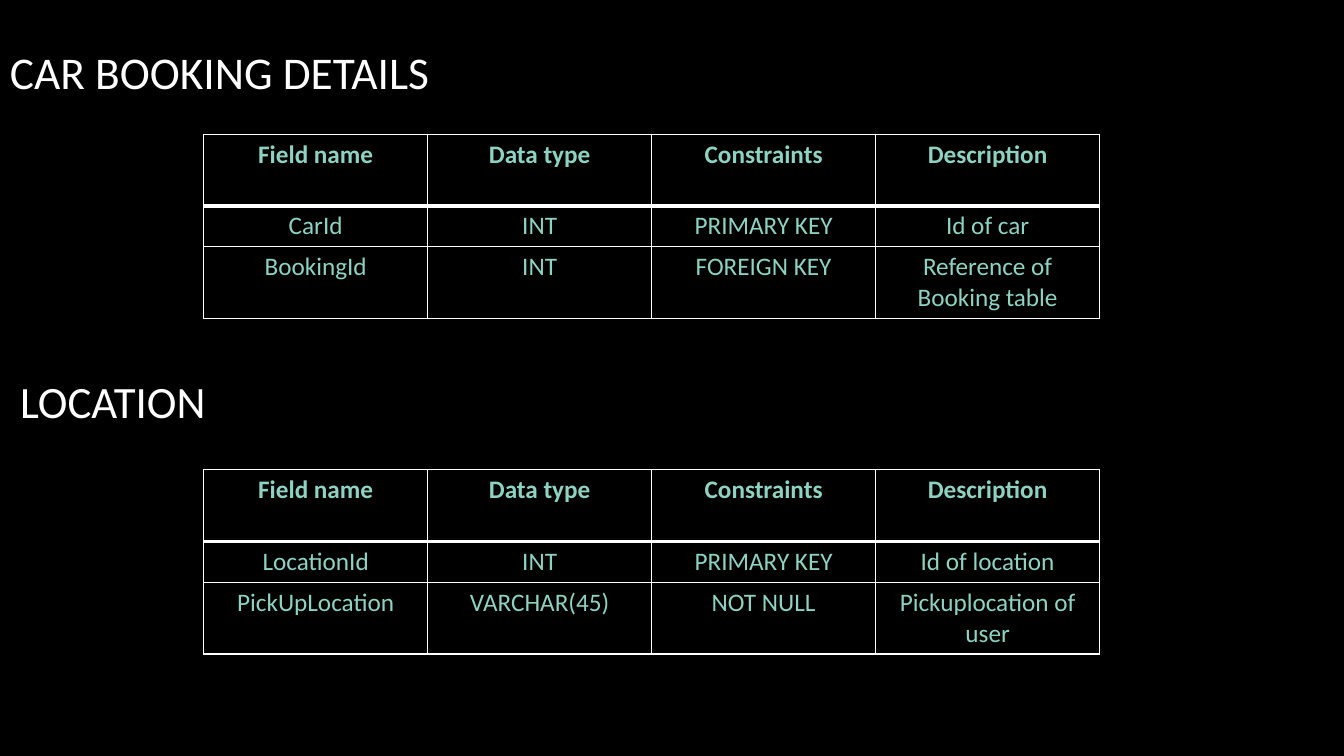
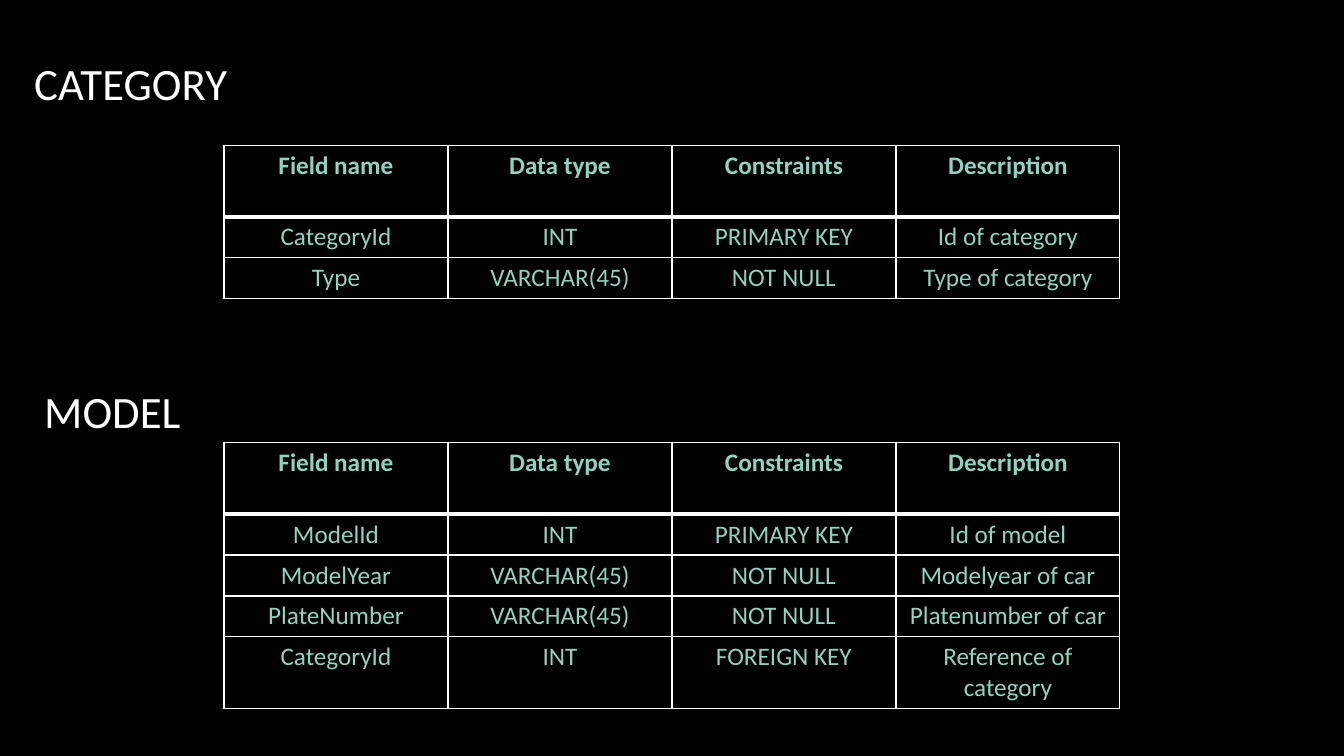
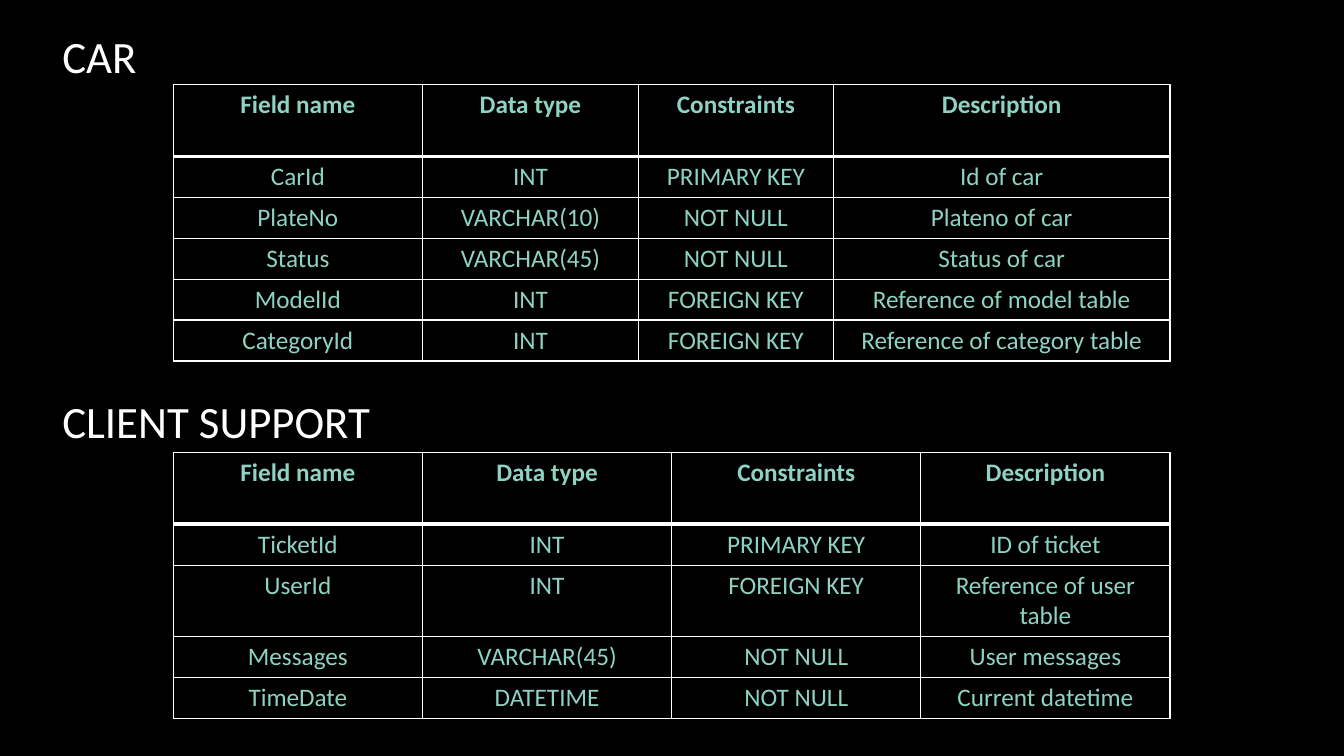
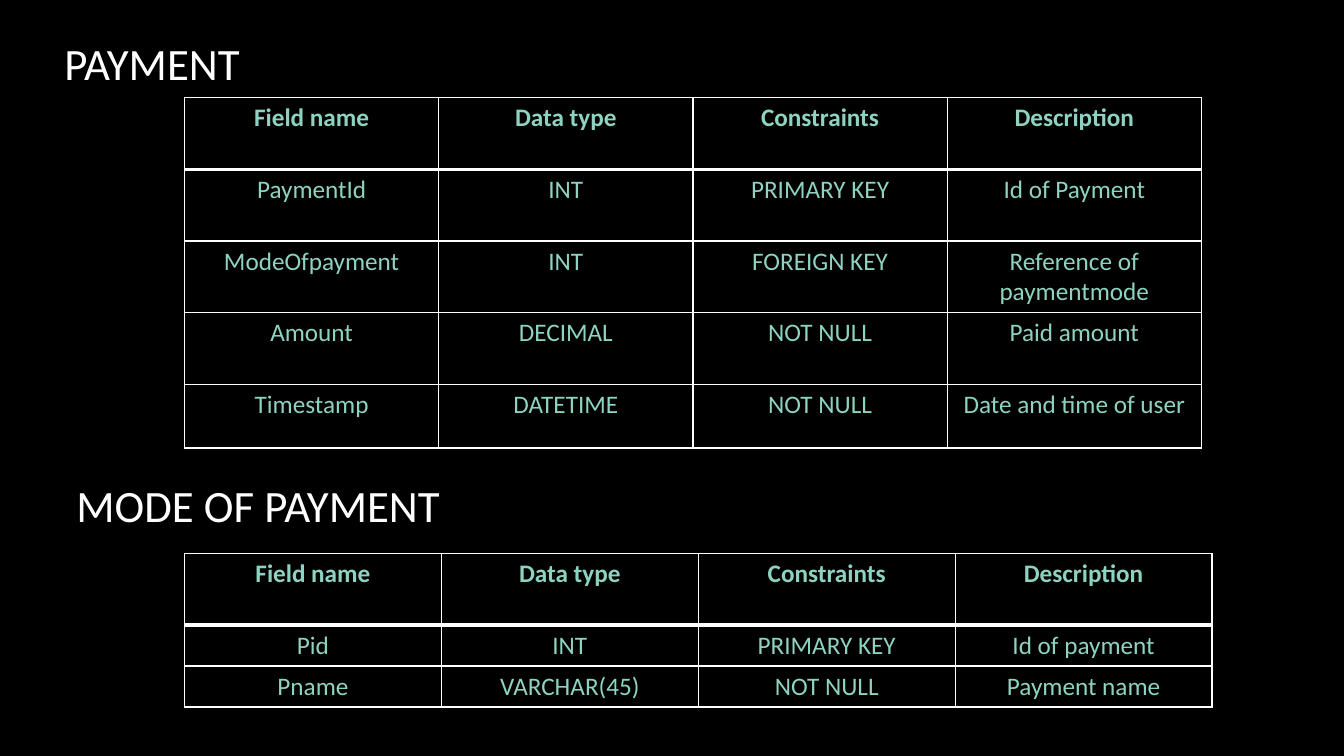
from dataclasses import dataclass

from pptx import Presentation
from pptx.dml.color import RGBColor
from pptx.enum import text
from pptx.oxml import parse_xml
from pptx.oxml.ns import nsdecls
from pptx.util import Pt

BLACK = RGBColor(0x00, 0x00, 0x00)
WHITE = RGBColor(0xFF, 0xFF, 0xFF)
MINT = RGBColor(0x8E, 0xD3, 0xC2)
FONT = "Calibri"

HEADER = ("Field name", "Data type", "Constraints", "Description")
TITLE_W, TITLE_H = 480, 46
TITLE_SIZE, CELL_SIZE = 32, 18
TALL_ROW, ROW = 51.2, 29.25
THIN, THICK = 1, 3
WRAP_CHARS = 20  # longer descriptions take two lines in an equal-width column


@dataclass(frozen=True)
class Entity:
    """A titled data dictionary table; lengths are in points."""
    title: str
    title_at: tuple[float, float]
    table_at: tuple[float, float]
    columns: tuple[float, ...]
    fields: tuple[tuple[str, str, str, str], ...]
    heights: tuple[float, ...]
    title_size: float = TITLE_SIZE


def equal(width: float) -> tuple[float, ...]:
    return (width,) * len(HEADER)


SLIDES = (
    (
        Entity("CAR BOOKING DETAILS", (0, 28.1), (145.5, 95.8), equal(160), (
            ("CarId", "INT", "PRIMARY KEY", "Id of car"),
            ("BookingId", "INT", "FOREIGN KEY", "Reference of Booking table"),
        ), (ROW, TALL_ROW), 32.4),
        Entity("LOCATION", (7.2, 262.8), (145.5, 335.5), equal(160), (
            ("LocationId", "INT", "PRIMARY KEY", "Id of location"),
            ("PickUpLocation", "VARCHAR(45)", "NOT NULL", "Pickuplocation of user"),
        ), (ROW, TALL_ROW)),
    ),
    (
        Entity("CATEGORY", (17.3, 36), (160, 103.7), equal(160), (
            ("CategoryId", "INT", "PRIMARY KEY", "Id of category"),
            ("Type", "VARCHAR(45)", "NOT NULL", "Type of category"),
        ), (ROW,) * 2),
        Entity("MODEL", (24.5, 270), (160, 316), equal(160), (
            ("ModelId", "INT", "PRIMARY KEY", "Id of model"),
            ("ModelYear", "VARCHAR(45)", "NOT NULL", "Modelyear of car"),
            ("PlateNumber", "VARCHAR(45)", "NOT NULL", "Platenumber of car"),
            ("CategoryId", "INT", "FOREIGN KEY", "Reference of category"),
        ), (ROW,) * 3 + (TALL_ROW,)),
    ),
    (
        Entity("CAR", (37.4, 16.6), (123.8, 60.5), (178, 154.3, 139.2, 240.5), (
            ("CarId", "INT", "PRIMARY KEY", "Id of car"),
            ("PlateNo", "VARCHAR(10)", "NOT NULL", "Plateno of car"),
            ("Status", "VARCHAR(45)", "NOT NULL", "Status of car"),
            ("ModelId", "INT", "FOREIGN KEY", "Reference of model table"),
            ("CategoryId", "INT", "FOREIGN KEY", "Reference of category table"),
        ), (ROW,) * 5),
        Entity("CLIENT SUPPORT", (37.4, 277.2), (123.8, 323.3), equal(178), (
            ("TicketId", "INT", "PRIMARY KEY", "ID of ticket"),
            ("UserId", "INT", "FOREIGN KEY", "Reference of user table"),
            ("Messages", "VARCHAR(45)", "NOT NULL", "User messages"),
            ("TimeDate", "DATETIME", "NOT NULL", "Current datetime"),
        ), (ROW, TALL_ROW, ROW, ROW)),
    ),
    (
        Entity("PAYMENT", (38.9, 21.6), (131.8, 69.8), equal(181.6), (
            ("PaymentId", "INT", "PRIMARY KEY", "Id of Payment"),
            ("ModeOfpayment", "INT", "FOREIGN KEY", "Reference of paymentmode"),
            ("Amount", "DECIMAL", "NOT NULL", "Paid amount"),
            ("Timestamp", "DATETIME", "NOT NULL", "Date and time of user"),
        ), (TALL_ROW,) * 3 + (45.5,)),
        Entity("MODE OF PAYMENT", (47.5, 337.7), (131.8, 395.3), equal(183.5), (
            ("Pid", "INT", "PRIMARY KEY", "Id of payment"),
            ("Pname", "VARCHAR(45)", "NOT NULL", "Payment name"),
        ), (ROW,) * 2),
    ),
)


def write(tf, content: str, size: float, color: RGBColor, bold: bool = False):
    """Fill a text frame with one formatted paragraph and return it."""
    tf.text = content
    p = tf.paragraphs[0]
    font = p.runs[0].font
    font.name, font.size, font.bold = FONT, Pt(size), bold
    font.color.rgb = color
    return p


def add_title(slide, entity: Entity) -> None:
    left, top = entity.title_at
    box = slide.shapes.add_textbox(Pt(left), Pt(top), Pt(TITLE_W), Pt(TITLE_H))
    tf = box.text_frame
    tf.word_wrap = True
    tf.vertical_anchor = text.MSO_ANCHOR.MIDDLE
    write(tf, entity.title, entity.title_size, WHITE)


def set_borders(cell, top: float, bottom: float) -> None:
    tcPr = cell._tc.get_or_add_tcPr()
    for side, width in (("L", THIN), ("R", THIN), ("T", top), ("B", bottom)):
        tcPr.append(parse_xml(
            f'<a:ln{side} {nsdecls("a")} w="{Pt(width)}"><a:solidFill>'
            f'<a:srgbClr val="{WHITE}"/></a:solidFill></a:ln{side}>'))


def add_table(slide, entity: Entity) -> None:
    rows = (HEADER, *entity.fields)
    heights = (TALL_ROW, *entity.heights)
    left, top = entity.table_at
    table = slide.shapes.add_table(
        len(rows), len(HEADER), Pt(left), Pt(top),
        Pt(sum(entity.columns)), Pt(sum(heights))).table
    table.horz_banding = False
    for column, width in zip(table.columns, entity.columns):
        column.width = Pt(width)
    for i, (values, height) in enumerate(zip(rows, heights)):
        table.rows[i].height = Pt(height)
        for cell, value in zip(table.rows[i].cells, values):
            p = write(cell.text_frame, value, CELL_SIZE, MINT, bold=i == 0)
            p.alignment = text.PP_ALIGN.CENTER
            set_borders(cell, THICK if i == 1 else THIN, THICK if i == 0 else THIN)
            cell.fill.background()


def main() -> None:
    prs = Presentation()
    prs.slide_width, prs.slide_height = Pt(960), Pt(540)
    background = prs.slide_master.background.fill
    background.solid()
    background.fore_color.rgb = BLACK
    for entities in SLIDES:
        slide = prs.slides.add_slide(prs.slide_layouts[6])
        for entity in entities:
            add_title(slide, entity)
            add_table(slide, entity)
    prs.save("out.pptx")


if __name__ == "__main__":
    main()
